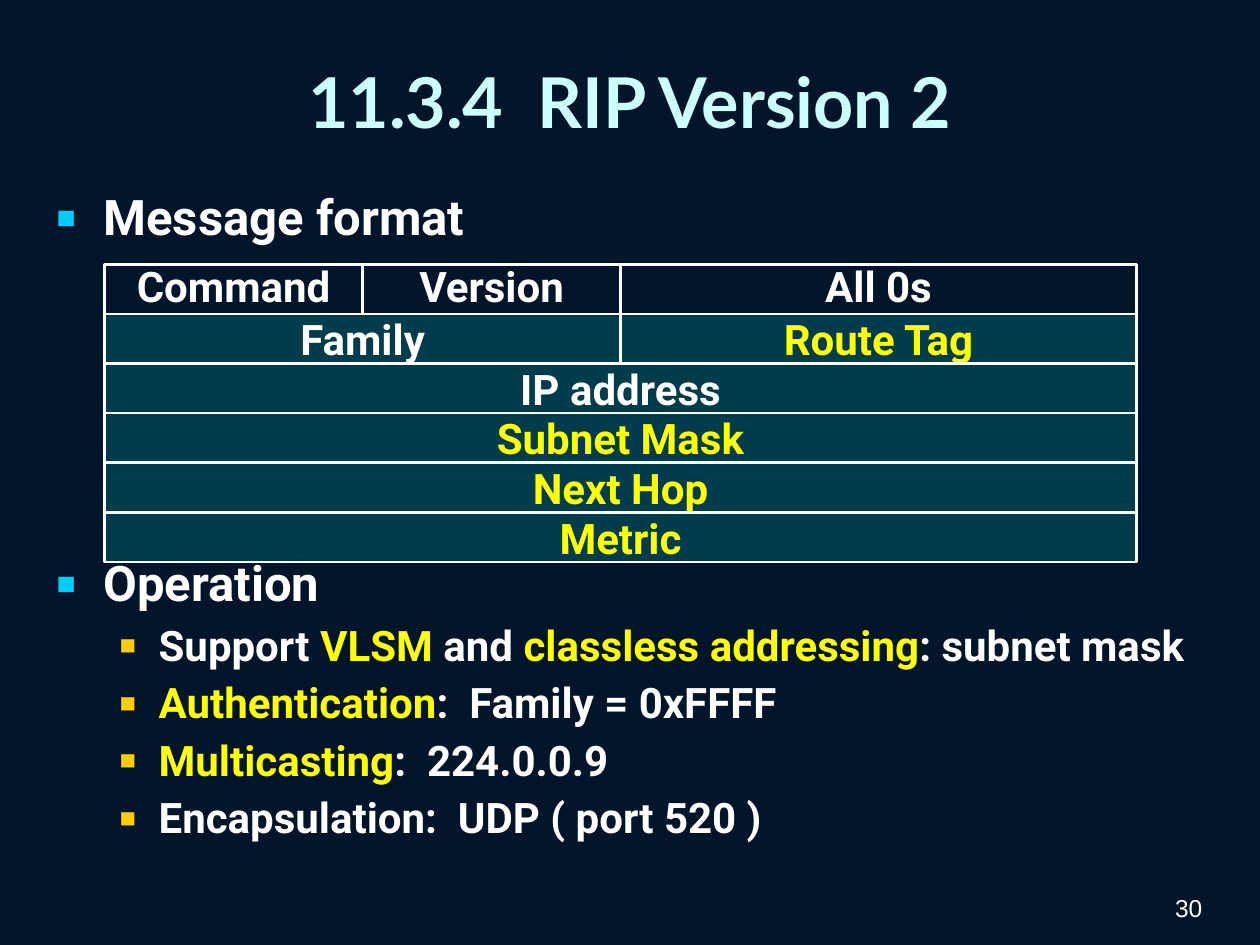
from pptx import Presentation
from pptx.dml.color import RGBColor
from pptx.enum.shapes import MSO_SHAPE
from pptx.enum.text import MSO_ANCHOR, PP_ALIGN
from pptx.oxml.ns import qn
from pptx.util import Cm, Pt
from lxml.etree import SubElement

COLORS = {
    "background": "00152A",
    "title": "CCFFFF",
    "text": "FFFFFF",
    "key": "FFFF00",
    "field": "009999",
    "bullet": "00CCFF",
    "sub_bullet": "FFCC00",
}

MESSAGE_ROWS = [
    [("Command", 1, "text"), ("Version", 1, "text"), ("All 0s", 2, "text")],
    [("Family", 2, "text"), ("Route Tag", 2, "key")],
    [("IP address", 4, "text")],
    [("Subnet Mask", 4, "key")],
    [("Next Hop", 4, "key")],
    [("Metric", 4, "key")],
]

FORMAT_LINES = [(0, [("Message format", "text")])]
OPERATION_LINES = [
    (0, [("Operation", "text")]),
    (1, [("Support ", "text"), ("VLSM", "key"), (" and ", "text"),
         ("classless addressing", "key"), (": subnet mask", "text")]),
    (1, [("Authentication", "key"), (":  Family = 0xFFFF", "text")]),
    (1, [("Multicasting", "key"), (":  224.0.0.9", "text")]),
    (1, [("Encapsulation:  UDP ( port 520 )", "text")]),
]

LEVELS = [
    {"size": 28, "margin": 0.95, "hang": 0.95, "bullet": "bullet"},
    {"size": 24, "margin": 2.06, "hang": 0.79, "bullet": "sub_bullet"},
]


def rgb(name):
    return RGBColor.from_string(COLORS[name])


def format_run(r, size, color, font="Roboto", bold=True):
    r.font.name = font
    r.font.size = Pt(size)
    r.font.bold = bold
    r.font.color.rgb = rgb(color)


def add_bullet(p, level):
    pPr = p._p.get_or_add_pPr()
    pPr.set("marL", str(Cm(level["margin"])))
    pPr.set("indent", str(-Cm(level["hang"])))
    color = SubElement(pPr, qn("a:buClr"))
    SubElement(color, qn("a:srgbClr"), val=COLORS[level["bullet"]])
    SubElement(pPr, qn("a:buSzPct"), val="65000")
    SubElement(pPr, qn("a:buFont"), typeface="Arial")
    SubElement(pPr, qn("a:buChar"), char="■")


def place_title(s, left, top, width, height):
    title = s.shapes.title
    title.left, title.top, title.width, title.height = left, top, width, height
    tf = title.text_frame
    tf.text = "11.3.4  RIP Version 2"
    tf.vertical_anchor = MSO_ANCHOR.MIDDLE
    p = tf.paragraphs[0]
    p.alignment = PP_ALIGN.CENTER
    format_run(p.runs[0], 40, "title", "Lato")


def add_outline(s, lines, left, top, width, height):
    tf = s.shapes.add_textbox(left, top, width, height).text_frame
    tf.word_wrap = True
    for i, (depth, parts) in enumerate(lines):
        p = tf.add_paragraph() if i else tf.paragraphs[0]
        level = LEVELS[depth]
        p.level = depth
        p.line_spacing = 0.95
        p.space_before = Pt(5.5 if i else 0)
        add_bullet(p, level)
        for text, color in parts:
            r = p.add_run()
            r.text = text
            format_run(r, level["size"], color)


def add_field(s, text, color, filled, left, top, width, height):
    sp = s.shapes.add_shape(MSO_SHAPE.RECTANGLE, left, top, width, height)
    sp.shadow.inherit = False
    sp.line.color.rgb = rgb("text")
    sp.line.width = Pt(1.5)
    if filled:
        sp.fill.solid()
        sp.fill.fore_color.rgb = rgb("field")
        fill_color = sp._element.spPr.find(qn("a:solidFill"))[0]
        SubElement(fill_color, qn("a:alpha"), val="30000")
    else:
        sp.fill.background()
    tf = sp.text_frame
    tf.text = text
    tf.word_wrap = False
    tf.vertical_anchor = MSO_ANCHOR.MIDDLE
    p = tf.paragraphs[0]
    p.alignment = PP_ALIGN.CENTER
    p.line_spacing = 1.0 if filled else 0.9
    format_run(p.runs[0], 24, color)


def add_message_format(s, left, top, width, height):
    unit = width // 4
    row_height = height // len(MESSAGE_ROWS)
    for i, row in enumerate(MESSAGE_ROWS):
        column = 0
        for text, span, color in row:
            add_field(s, text, color, i > 0, left + column * unit,
                      top + i * row_height, span * unit, row_height)
            column += span


def add_page_number(s, left, top, width, height):
    tf = s.shapes.add_textbox(left, top, width, height).text_frame
    tf.word_wrap = True
    tf.text = "30"
    tf.vertical_anchor = MSO_ANCHOR.BOTTOM
    p = tf.paragraphs[0]
    p.alignment = PP_ALIGN.RIGHT
    format_run(p.runs[0], 14, "text", "Arial", False)


def main():
    prs = Presentation()
    prs.slide_width, prs.slide_height = Cm(25.4), Cm(19.05)
    s = prs.slides.add_slide(prs.slide_layouts[5])
    s.background.fill.solid()
    s.background.fill.fore_color.rgb = rgb("background")
    left, width = Cm(0.89), Cm(23.6)
    place_title(s, left, Cm(0.33), width, Cm(3.4))
    add_outline(s, FORMAT_LINES, left, Cm(3.73), width, Cm(1.4))
    add_outline(s, OPERATION_LINES, left, Cm(11.11), width, Cm(6.8))
    add_message_format(s, Cm(2.11), Cm(5.33), Cm(20.8), Cm(6))
    add_page_number(s, Cm(18.57), Cm(17.53), Cm(5.92), Cm(1.19))
    prs.save("out.pptx")


if __name__ == "__main__":
    main()
